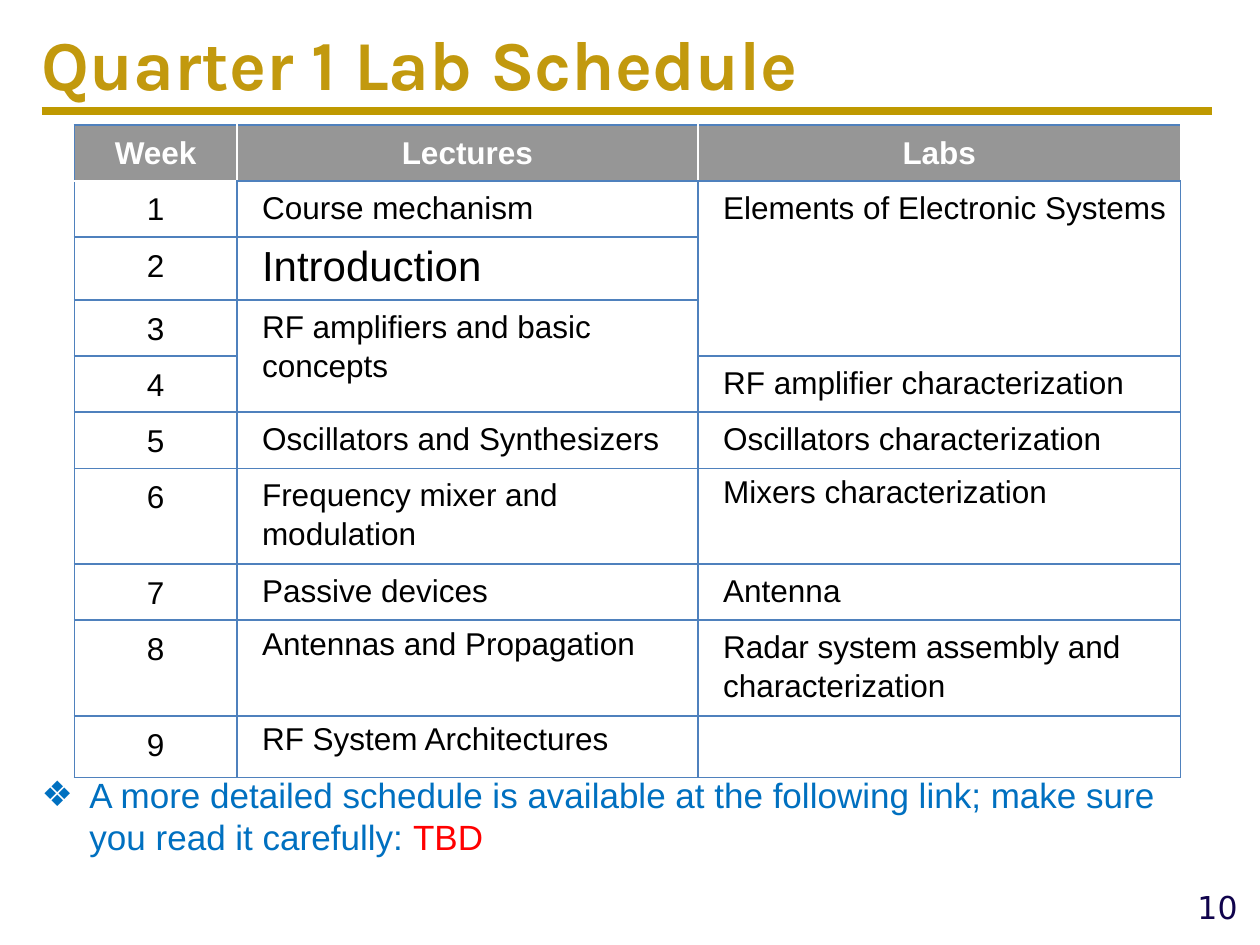
import pptx
import pptx.util
import pptx.dml.color
import pptx.enum.text
import pptx.oxml.ns
from dataclasses import dataclass
from lxml import etree

Inches = pptx.util.Inches
Pt = pptx.util.Pt
ALIGN = pptx.enum.text.PP_ALIGN
ANCHOR = pptx.enum.text.MSO_ANCHOR


@dataclass(frozen=True)
class Theme:
    gold: str = "C2990E"
    rule: str = "BF9900"
    navy: str = "10034C"
    link: str = "0070C0"
    red: str = "FF0000"
    grey: str = "969696"
    edge: str = "4F81BD"
    white: str = "FFFFFF"
    black: str = "000000"
    title: int = 40
    large: int = 24
    note: int = 20
    text: int = 18
    face: str = "Arial"
    head: str = "Karla"
    digit: str = "DejaVu Sans"


THEME = Theme()

# Each entry: row, column, text
HEADS = ["Week", "Lectures", "Labs"]
ROWS = [
    ("Course mechanism", "Elements of Electronic Systems"),
    ("Introduction", ""),
    ("RF amplifiers and basic concepts", ""),
    ("", "RF amplifier characterization"),
    ("Oscillators and Synthesizers", "Oscillators characterization"),
    ("Frequency mixer and modulation", "Mixers characterization"),
    ("Passive devices", "Antenna"),
    ("Antennas and Propagation", "Radar system assembly and characterization"),
    ("RF System Architectures", ""),
]
SINGLE = {"Introduction", "Mixers characterization",
          "Antennas and Propagation", "RF System Architectures"}
WIDTHS = [1.29, 3.66, 3.83]
HEIGHTS = [0.42, 0.42, 0.47, 0.42, 0.42, 0.42, 0.76, 0.42, 0.71, 0.49]
MERGES = [((1, 2), (3, 2)), ((3, 1), (4, 1))]


def put(item, **values):
    for name, value in values.items():
        setattr(item, name, value)


def tint(code):
    return pptx.dml.color.RGBColor.from_string(code)


def node(home, tag, **values):
    return etree.SubElement(home, pptx.oxml.ns.qn(tag), values)


def add_run(para, text, size, color, face=THEME.face, bold=False):
    run = para.add_run()
    run.text = text
    put(run.font, size=Pt(size), name=face, bold=bold)
    run.font.color.rgb = tint(color)


def add_text(slide, box, left=0.1, anchor=ANCHOR.TOP):
    frame = slide.shapes.add_textbox(*map(Inches, box)).text_frame
    put(frame, word_wrap=True, vertical_anchor=anchor,
        margin_left=Inches(left), margin_right=Inches(0.1),
        margin_top=Inches(0.05), margin_bottom=Inches(0.05))
    return frame.paragraphs[0]


def add_rule(slide):
    line = slide.shapes.add_connector(
        pptx.enum.shapes.MSO_CONNECTOR.STRAIGHT,
        Inches(0.33), Inches(0.88), Inches(9.62), Inches(0.88))
    line.line.width = Pt(4.5)
    line.line.color.rgb = tint(THEME.rule)
    node(line.element.spPr, "a:effectLst")


def add_bullet(para, mark):
    props = para._p.get_or_add_pPr()
    put_in = {"marL": Inches(0.38), "indent": Inches(-0.38)}
    for name, value in put_in.items():
        props.set(name, str(int(value)))
    node(props, "a:buFont", typeface=THEME.digit)
    node(props, "a:buChar", char=mark)


def edge_cell(cell, row, col):
    colors = dict.fromkeys("LRTB", THEME.edge)
    if row == 0:
        colors["R"] = THEME.white
        colors["B" if col == 0 else "L"] = THEME.white
    elif (row, col) == (1, 0):
        colors["T"] = THEME.white
    props = cell._tc.get_or_add_tcPr()
    for side, color in colors.items():
        line = node(props, f"a:ln{side}", w=str(int(Pt(1))))
        node(node(line, "a:solidFill"), "a:srgbClr", val=color)


def fill_cell(cell, row, col, text):
    head = row == 0
    mid = head or col == 0
    # Borders come before the fill in the cell properties
    edge_cell(cell, row, col)
    if head:
        cell.fill.solid()
        cell.fill.fore_color.rgb = tint(THEME.grey)
    else:
        cell.fill.background()
    put(cell, margin_left=Inches(0.06 if mid else 0.2),
        margin_right=Inches(0.06 if mid else 0.1),
        margin_top=Inches(0.05), margin_bottom=Inches(0.05))
    if not text:
        return
    para = cell.text_frame.paragraphs[0]
    space = 1.15 if mid else 1.0 if text in SINGLE else 1.1
    put(para, line_spacing=space,
        alignment=ALIGN.CENTER if mid else ALIGN.LEFT)
    size = THEME.large if text == "Introduction" else THEME.text
    add_run(para, text, size, THEME.white if head else THEME.black, bold=head)


def add_plan(slide):
    data = [HEADS] + [(str(week), *pair) for week, pair in enumerate(ROWS, 1)]
    table = slide.shapes.add_table(
        len(data), len(HEADS), Inches(0.59), Inches(0.99),
        Inches(sum(WIDTHS)), Inches(sum(HEIGHTS))).table
    put(table, first_row=False, horz_banding=False)
    for column, width in zip(table.columns, WIDTHS):
        column.width = Inches(width)
    for line, height in zip(table.rows, HEIGHTS):
        line.height = Inches(height)
    for row, texts in enumerate(data):
        for col, text in enumerate(texts):
            fill_cell(table.cell(row, col), row, col, text)
    for start, end in MERGES:
        table.cell(*start).merge(table.cell(*end))


def main():
    deck = pptx.Presentation()
    put(deck, slide_width=Inches(10), slide_height=Inches(7.5))
    slide = deck.slides.add_slide(deck.slide_layouts[6])

    # Page number and title
    page = add_text(slide, (8.5, 7, 1.42, 0.4))
    page.alignment = ALIGN.RIGHT
    add_run(page, "10", THEME.text, THEME.navy, THEME.digit)
    add_rule(slide)
    title = add_text(slide, (0.33, 0, 8.15, 1), 0, ANCHOR.MIDDLE)
    add_run(title, "Quarter 1 Lab Schedule", THEME.title, THEME.gold,
            THEME.head, True)

    # Note under the table
    note = add_text(slide, (0.33, 6.09, 9.29, 1.11), 0)
    note.space_before = Pt(4)
    add_bullet(note, "❖")
    add_run(note, "A more detailed schedule is available at the following "
            "link; make sure you read it carefully: ", THEME.note, THEME.link)
    add_run(note, "TBD", THEME.note, THEME.red)

    # Schedule
    add_plan(slide)
    deck.save("out.pptx")


if __name__ == "__main__":
    main()
